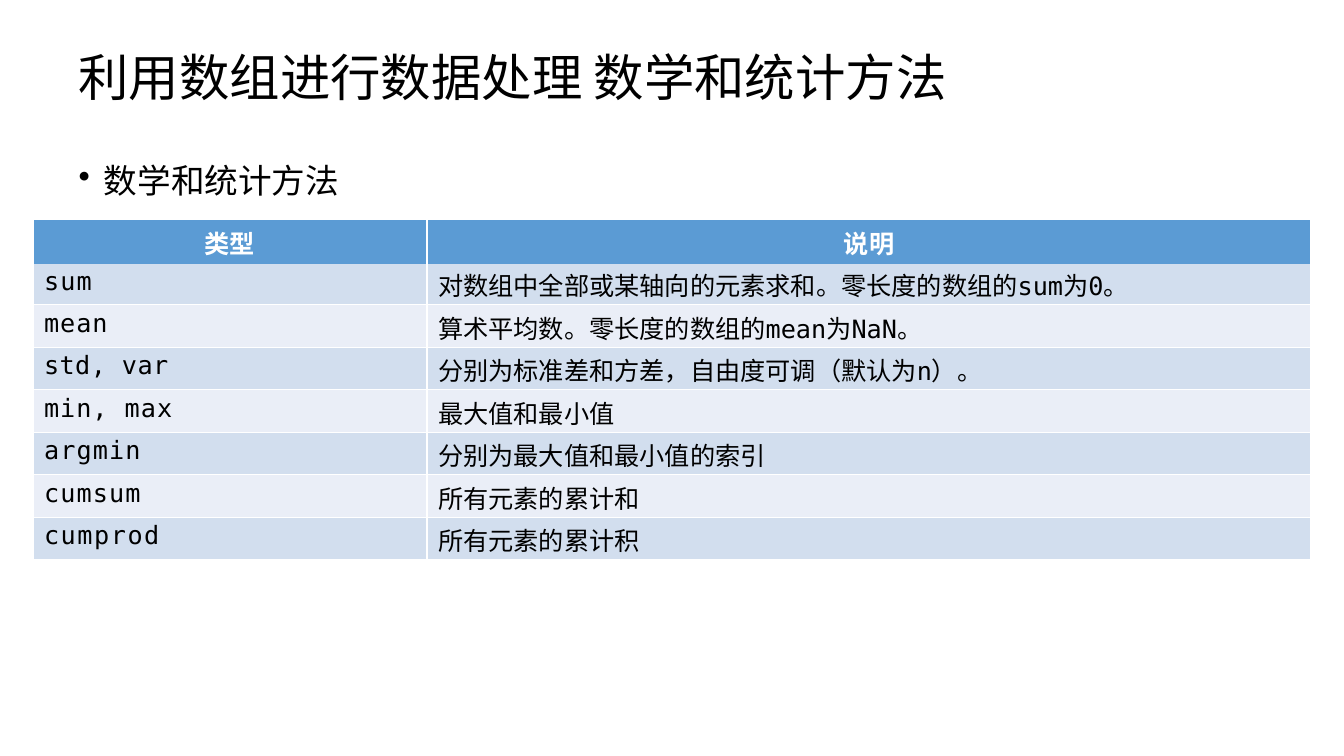
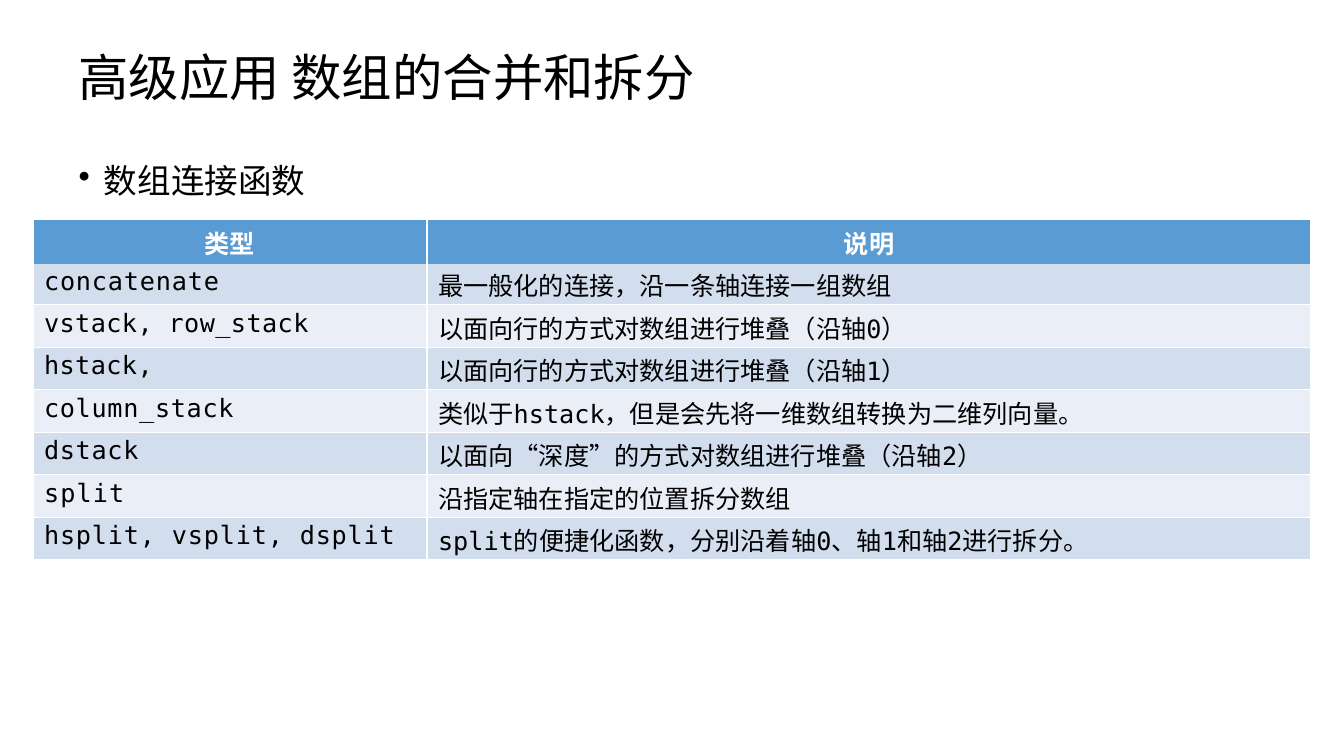
import dataclasses

import lxml.etree
import pptx
import pptx.dml.color
import pptx.enum.text
import pptx.oxml.ns
import pptx.util

Cm = pptx.util.Cm
Pt = pptx.util.Pt
qn = pptx.oxml.ns.qn


@dataclasses.dataclass(frozen=True)
class Theme:
    text: str = "000000"
    header_text: str = "FFFFFF"
    header_fill: str = "5B9BD4"
    band_fills: tuple = ("D2DEEE", "EAEEF7")
    border: str = "FFFFFF"
    mono: str = "DejaVu Sans Mono"
    chinese: str = "Noto Sans CJK SC"
    title_size: int = 36
    bullet_size: int = 24
    table_size: int = 18


THEME = Theme()
TEXT_LEFT = 1.98
COLUMN_WIDTHS = (9.93, 22.28)
HEADER_HEIGHT, FIRST_HEIGHT, ROW_HEIGHT = 1.12, 1.02, 1.07
HEADINGS = ("类型", "说明")

STATISTICS = (
    ("sum", 0.8, "对数组中全部或某轴向的元素求和。零长度的数组的sum为0。"),
    ("mean", 0.7, "算术平均数。零长度的数组的mean为NaN。"),
    ("std, var", 0.3, "分别为标准差和方差，自由度可调（默认为n）。"),
    ("min, max", 0.7, "最大值和最小值"),
    ("argmin", 0.8, "分别为最大值和最小值的索引"),
    ("cumsum", 0.8, "所有元素的累计和"),
    ("cumprod", 1.1, "所有元素的累计积"),
)
JOINING = (
    ("concatenate", 0.6, "最一般化的连接，沿一条轴连接一组数组"),
    ("vstack, row_stack", 0.3, "以面向行的方式对数组进行堆叠（沿轴0）"),
    ("hstack,", 0.3, "以面向行的方式对数组进行堆叠（沿轴1）"),
    ("column_stack", 0.5, "类似于hstack，但是会先将一维数组转换为二维列向量。"),
    ("dstack", 0.5, "以面向“深度”的方式对数组进行堆叠（沿轴2）"),
    ("split", 0.8, "沿指定轴在指定的位置拆分数组"),
    ("hsplit, vsplit, dsplit", 0.6, "split的便捷化函数，分别沿着轴0、轴1和轴2进行拆分。"),
)


def rgb(value):
    return pptx.dml.color.RGBColor.from_string(value)


def style_paragraph(paragraph, size, color=THEME.text, face=THEME.mono, bold=False, tracking=0):
    font = paragraph.font
    font.name, font.size, font.bold = face, Pt(size), bold
    font.color.rgb = rgb(color)
    defaults = paragraph._p.pPr.find(qn("a:defRPr"))
    defaults.find(qn("a:latin")).addnext(
        defaults.makeelement(qn("a:ea"), {"typeface": THEME.chinese}))
    if tracking:
        defaults.set("spc", str(round(tracking * 100)))


def fit_frame(frame):
    frame.margin_left = frame.margin_right = frame.margin_bottom = 0
    frame.margin_top = Cm(0.03)
    frame.word_wrap = True
    frame.vertical_anchor = pptx.enum.text.MSO_ANCHOR.TOP
    frame.auto_size = pptx.enum.text.MSO_AUTO_SIZE.SHAPE_TO_FIT_TEXT


def add_title(slide, text, width):
    title = slide.shapes.title
    title.left, title.top = Cm(TEXT_LEFT), Cm(1.12)
    title.width, title.height = Cm(width), Cm(1.6)
    title.text_frame.text = text
    fit_frame(title.text_frame)
    paragraph = title.text_frame.paragraphs[0]
    paragraph.alignment = pptx.enum.text.PP_ALIGN.LEFT
    style_paragraph(paragraph, THEME.title_size)


def add_bullet(slide, text, width):
    frame = slide.shapes.add_textbox(Cm(TEXT_LEFT), Cm(4.01), Cm(width), Cm(1.1)).text_frame
    frame.text = text
    fit_frame(frame)
    paragraph = frame.paragraphs[0]
    properties = paragraph._p.get_or_add_pPr()
    properties.set("marL", str(Cm(0.64)))
    properties.set("indent", str(-Cm(0.64)))
    lxml.etree.SubElement(properties, qn("a:buChar"), char="•")
    style_paragraph(paragraph, THEME.bullet_size)


def set_borders(cell, hidden):
    properties = cell._tc.get_or_add_tcPr()
    for side in "LRTB":
        line = lxml.etree.SubElement(properties, qn(f"a:ln{side}"), w=str(Pt(1)))
        if side == hidden:
            lxml.etree.SubElement(line, qn("a:noFill"))
        else:
            fill = lxml.etree.SubElement(line, qn("a:solidFill"))
            lxml.etree.SubElement(fill, qn("a:srgbClr"), val=THEME.border)


def fill_cell(cell, text, fill, hidden, top, left=0.0):
    set_borders(cell, hidden)
    cell.fill.solid()
    cell.fill.fore_color.rgb = rgb(fill)
    cell.margin_left, cell.margin_top = Cm(left), Cm(top)
    cell.margin_right = cell.margin_bottom = 0
    cell.text_frame.text = text
    return cell.text_frame.paragraphs[0]


def add_function_table(slide, functions):
    heights = [HEADER_HEIGHT, FIRST_HEIGHT] + [ROW_HEIGHT] * (len(functions) - 1)
    table = slide.shapes.add_table(
        len(heights), len(COLUMN_WIDTHS), Cm(0.83), Cm(5.54),
        Cm(sum(COLUMN_WIDTHS)), Cm(sum(heights))).table
    table.first_row = table.horz_banding = False
    for column, width in zip(table.columns, COLUMN_WIDTHS):
        column.width = Cm(width)
    for row, height in zip(table.rows, heights):
        row.height = Cm(height)

    for column, heading in enumerate(HEADINGS):
        paragraph = fill_cell(table.cell(0, column), heading, THEME.header_fill, "B", 0.11)
        paragraph.alignment = pptx.enum.text.PP_ALIGN.CENTER
        style_paragraph(paragraph, THEME.table_size, THEME.header_text, THEME.chinese, True)

    for row, (name, tracking, description) in enumerate(functions, 1):
        fill = THEME.band_fills[(row - 1) % 2]
        hidden, top = ("T", 0.06) if row == 1 else ("", 0.11)
        for column, (text, spacing) in enumerate(((name, tracking), (description, 0))):
            paragraph = fill_cell(table.cell(row, column), text, fill, hidden, top, 0.28)
            style_paragraph(paragraph, THEME.table_size, tracking=spacing)


def add_function_slide(deck, title, title_width, bullet, bullet_width, functions):
    slide = deck.slides.add_slide(deck.slide_layouts[5])
    add_title(slide, title, title_width)
    add_bullet(slide, bullet, bullet_width)
    add_function_table(slide, functions)


def main():
    deck = pptx.Presentation()
    deck.slide_width, deck.slide_height = Cm(33.87), Cm(19.05)
    add_function_slide(deck, "利用数组进行数据处理 数学和统计方法", 22.1,
                       "数学和统计方法", 6.7, STATISTICS)
    add_function_slide(deck, "高级应用 数组的合并和拆分", 15.75,
                       "数组连接函数", 5.85, JOINING)
    deck.save("out.pptx")


if __name__ == "__main__":
    main()
